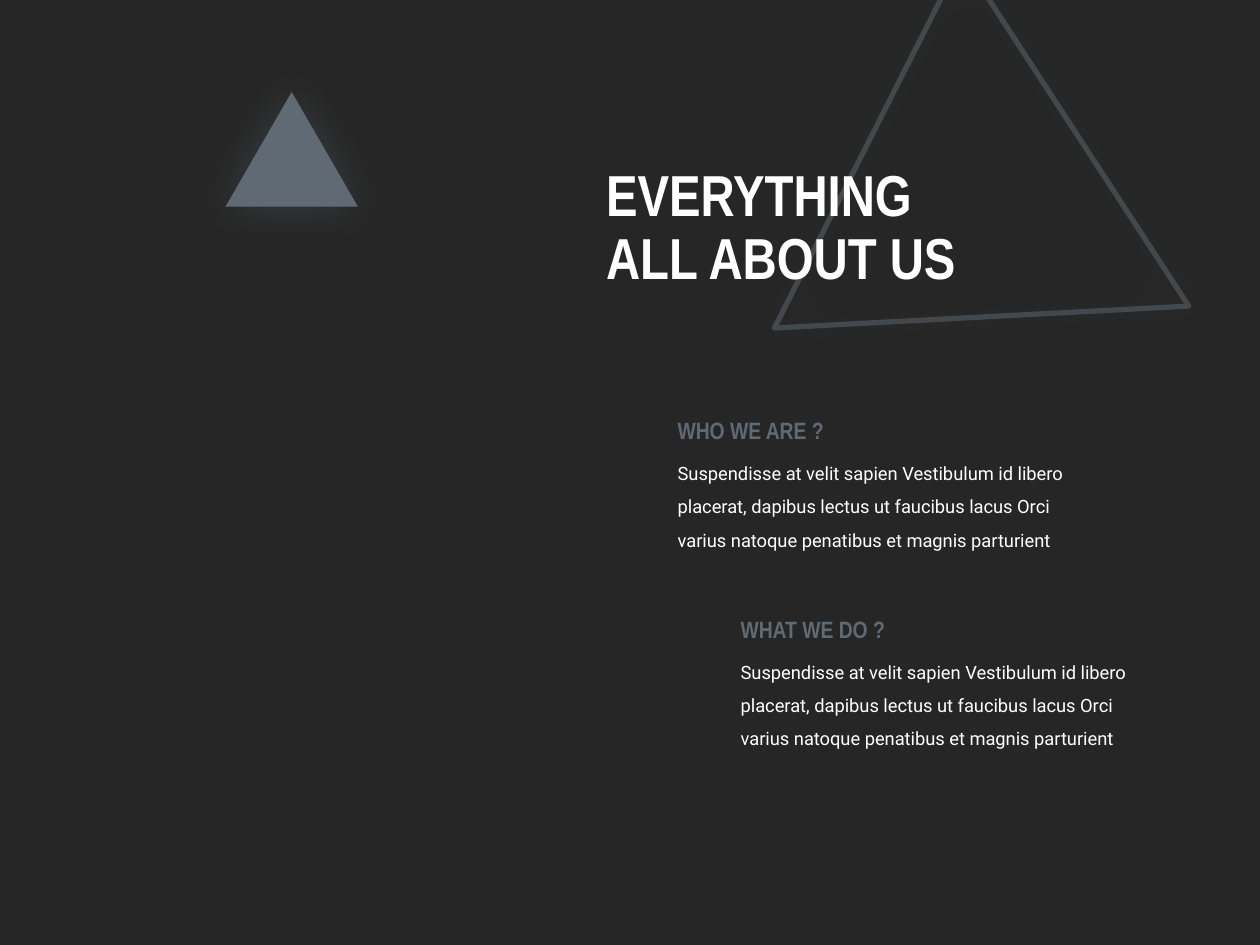
from lxml.etree import SubElement
from pptx import Presentation
from pptx.dml.color import RGBColor
from pptx.enum.shapes import MSO_SHAPE as Preset
from pptx.enum.text import MSO_ANCHOR as Anchor, MSO_AUTO_SIZE as AutoSize, PP_ALIGN as Align
from pptx.oxml.ns import qn
from pptx.util import Inches, Pt

WIDTH, HEIGHT = 10, 7.5
DARK, SLATE, WHITE = "262626", "606A74", "FFFFFF"
HEADING_FONT, BODY_FONT = "Arial Narrow", "Roboto"
BODY = ("Suspendisse at velit sapien Vestibulum id libero placerat, dapibus lectus ut "
        "faucibus lacus Orci varius natoque penatibus et magnis parturient")
SECTIONS = [("WHO WE ARE ?", 0.53, 0.43), ("WHAT WE DO ?", 0.58, 0.64)]


def paint(fill, color):
    """Make a fill solid in a hex colour."""
    fill.solid()
    fill.fore_color.rgb = RGBColor.from_string(color)


def set_alpha(color_element, percent):
    """Give a colour element an opacity."""
    SubElement(color_element, qn("a:alpha"), val=str(percent * 1000))


def format_text(box, font, size, color, bold=False, spacing=1.0):
    """Left-align and style all the text of a box."""
    for para in box.text_frame.paragraphs:
        para.alignment = Align.LEFT
        para.line_spacing = spacing
        for span in para.runs:
            span.font.name, span.font.size, span.font.bold = font, Pt(size), bold
            span.font.color.rgb = RGBColor.from_string(color)


def add_glow_triangle(page, left, top, width, height):
    """Add a triangle with a soft, centred shadow."""
    triangle = page.shapes.add_shape(
        Preset.ISOSCELES_TRIANGLE, *map(Inches, (left, top, width, height)))
    triangle.shadow.inherit = False
    effects = triangle._element.spPr.find(qn("a:effectLst"))
    shadow = SubElement(effects, qn("a:outerShdw"), blurRad=str(Pt(25)),
                        dist="0", dir="0", algn="ctr", rotWithShape="0")
    set_alpha(SubElement(shadow, qn("a:srgbClr"), val=SLATE), 35)
    return triangle


def add_outline_triangle(page):
    """Add the large tilted outline behind everything else."""
    triangle = add_glow_triangle(page, 5.69, 0.4, 3.3, 2.85)
    triangle.rotation = 236.9
    triangle.fill.background()
    triangle.line.width = Pt(3)
    paint(triangle.line.fill, SLATE)
    set_alpha(triangle.line._ln.find(".//" + qn("a:srgbClr")), 50)
    page.shapes._spTree.insert(2, triangle._element)


def add_solid_triangle(page):
    """Add the small filled triangle."""
    triangle = add_glow_triangle(page, 1.79, 0.73, 1.05, 0.91)
    paint(triangle.fill, SLATE)
    triangle.line.fill.background()


def set_title(page):
    """Place and style the title."""
    title = page.shapes.title
    title.left, title.top, title.width, title.height = map(Inches, (4.71, 1.03, 4.22, 1.58))
    title.text_frame.text = "EVERYTHING\vALL ABOUT US"
    title.text_frame.vertical_anchor = Anchor.MIDDLE
    title.text_frame.auto_size = AutoSize.NONE
    format_text(title, HEADING_FONT, 33, WHITE, bold=True, spacing=0.9)


def add_text(page, text, left, top, width, height):
    """Add a wrapping text box that grows with its text."""
    box = page.shapes.add_textbox(*map(Inches, (left, top, width, height)))
    box.text_frame.word_wrap = True
    box.text_frame.auto_size = AutoSize.SHAPE_TO_FIT_TEXT
    box.text_frame.text = text
    return box


def add_section(page, heading, column, row):
    """Add a heading over its text, placed by shares of the slide."""
    left, top = column * WIDTH - 0.02, row * HEIGHT + 0.03
    body = add_text(page, BODY, left, top + 0.28, 3.38, 0.87)
    format_text(body, BODY_FONT, 10.5, WHITE, spacing=1.5)
    label = add_text(page, heading, left, top, 1.84, 0.33)
    format_text(label, HEADING_FONT, 13.5, SLATE, bold=True)


def main():
    """Build and save the slide."""
    deck = Presentation()
    deck.slide_width, deck.slide_height = Inches(WIDTH), Inches(HEIGHT)
    page = deck.slides.add_slide(deck.slide_layouts[0])
    subtitle = page.placeholders[1]._element
    subtitle.getparent().remove(subtitle)
    paint(page.background.fill, DARK)
    set_title(page)
    add_outline_triangle(page)
    add_solid_triangle(page)
    for heading, column, row in SECTIONS:
        add_section(page, heading, column, row)
    deck.save("out.pptx")


if __name__ == "__main__":
    main()
